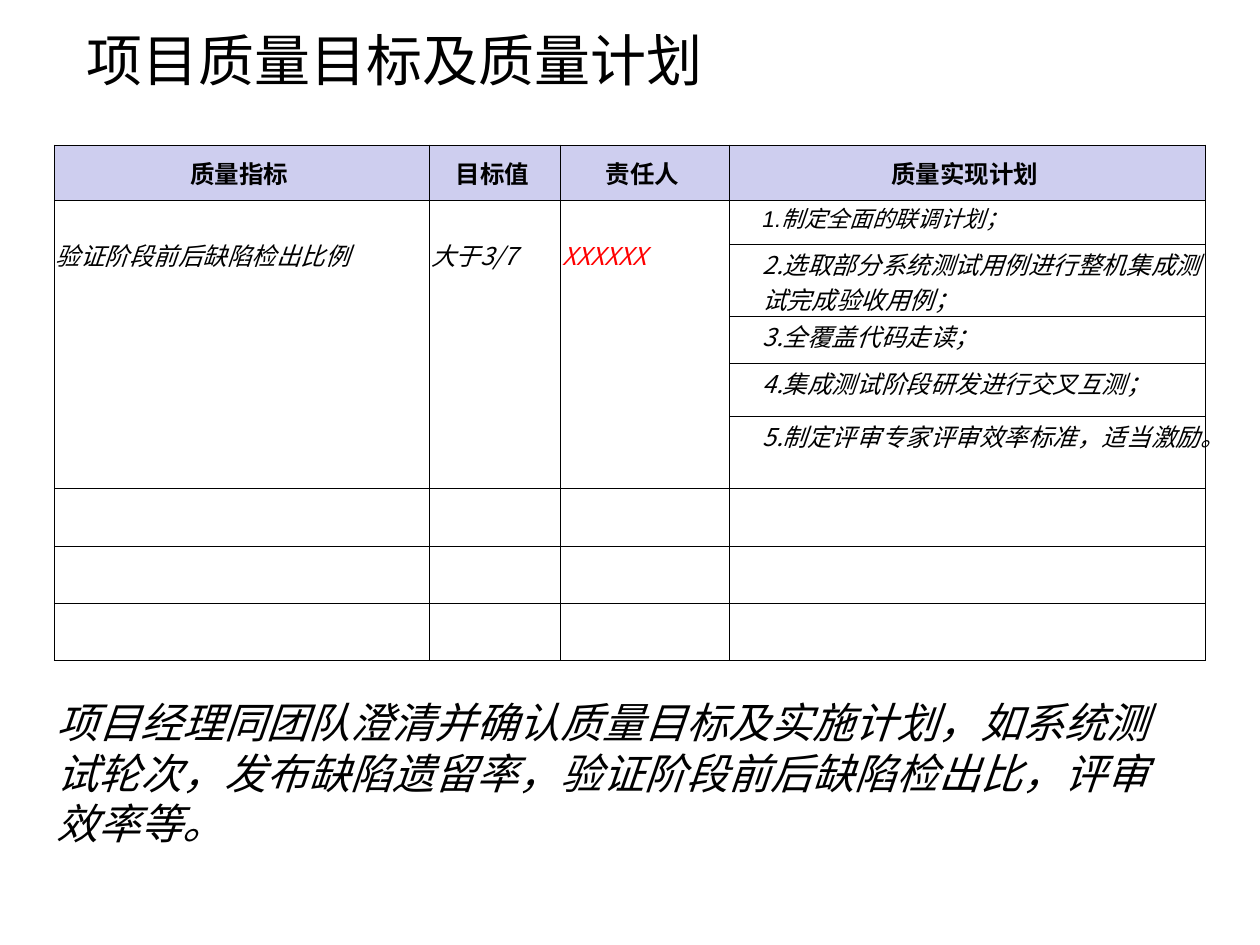
from lxml import etree
from pptx import Presentation
from pptx import util as u
from pptx.dml import color
from pptx.enum import text
from pptx.oxml import ns

CJK = "Noto Sans CJK SC"
COLUMNS = [214.6, 74.9, 96.5, 272]
ROWS = [31.7, 25.2, 41.4, 26.6, 30.2, 41.4, 32.8, 32.8, 32.8]
HEADERS = ["质量指标 ", "目标值 ", "责任人 ", "质量实现计划 "]
GOAL = [
    ("验证阶段前后缺陷检出比例", "000000"),
    ("大于3/7", "000000"),
    ("XXXXXX", "FF0000"),
]
PLANS = [
    "制定全面的联调计划；",
    "2.选取部分系统测试用例进行整机集成测试完成验收用例；",
    "3.全覆盖代码走读；",
    "4.集成测试阶段研发进行交叉互测；",
    "5.制定评审专家评审效率标准，适当激励。",
]
SUMMARY = (
    "项目经理同团队澄清并确认质量目标及实施计划，如系统测试轮次，"
    "发布缺陷遗留率，验证阶段前后缺陷检出比，评审效率等。"
)


def rgb(value):
    return color.RGBColor.from_string(value)


def style_font(font, size, name=CJK, colour="000000", bold=False, italic=False):
    font.size = u.Pt(size)
    font.name = name
    font.bold = bold
    font.italic = italic
    font.color.rgb = rgb(colour)


def add_text(slide, left, top, width, height, content, size, **style):
    shape = slide.shapes.add_textbox(u.Pt(left), u.Pt(top), u.Pt(width), u.Pt(height))
    shape.text_frame.word_wrap = True
    paragraph = shape.text_frame.paragraphs[0]
    paragraph.text = content
    style_font(paragraph.font, size, **style)
    return shape


def format_cell(cell, fill):
    properties = cell._tc.get_or_add_tcPr()
    for side in ("lnL", "lnR", "lnT", "lnB"):
        line = etree.SubElement(properties, ns.qn(f"a:{side}"), w=str(u.Pt(0.5)))
        solid = etree.SubElement(line, ns.qn("a:solidFill"))
        etree.SubElement(solid, ns.qn("a:srgbClr"), val="000000")
    cell.fill.solid()
    cell.fill.fore_color.rgb = rgb(fill)
    cell.margin_left = cell.margin_right = cell.margin_top = u.Pt(0.72)
    cell.margin_bottom = 0


def write_cell(cell, content, size=14, **style):
    paragraph = cell.text_frame.paragraphs[0]
    paragraph.text = content
    style_font(paragraph.font, size, **style)
    return paragraph


def fill_header(table):
    for column, header in enumerate(HEADERS):
        cell = table.cell(0, column)
        cell.vertical_anchor = text.MSO_ANCHOR.MIDDLE
        write_cell(cell, header, bold=True).alignment = text.PP_ALIGN.CENTER


def fill_goal(table):
    for column, (content, colour) in enumerate(GOAL):
        cell = table.cell(1, column)
        cell.merge(table.cell(len(PLANS), column))
        cell.margin_top = u.Pt(21)
        write_cell(cell, content, colour=colour, italic=True)


def fill_plans(table):
    for row, plan in enumerate(PLANS, 1):
        cell = table.cell(row, 3)
        cell.margin_left = u.Pt(18.72)
        if row > 1:
            write_cell(cell, plan, italic=True)
            continue
        paragraph = cell.text_frame.paragraphs[0]
        for content, name in (("1.", "Arial"), (plan, CJK)):
            run = paragraph.add_run()
            run.text = content
            style_font(run.font, 13, name=name, italic=True)


def add_quality_table(slide):
    frame = slide.shapes.add_table(
        len(ROWS), len(COLUMNS), u.Pt(31), u.Pt(82.8), u.Pt(sum(COLUMNS)), u.Pt(sum(ROWS))
    )
    table = frame.table
    for column, width in zip(table.columns, COLUMNS):
        column.width = u.Pt(width)
    for index, (row, height) in enumerate(zip(table.rows, ROWS)):
        row.height = u.Pt(height)
        for cell in row.cells:
            format_cell(cell, "FFFFFF" if index else "CECEEF")
    fill_header(table)
    fill_goal(table)
    fill_plans(table)


def main():
    presentation = Presentation()
    presentation.slide_width = u.Pt(720)
    presentation.slide_height = u.Pt(540)
    slide = presentation.slides.add_slide(presentation.slide_layouts[6])
    title = add_text(slide, 42.5, 15.1, 414, 37.4, "项目质量目标及质量计划", 32, name="Arial")
    title.text_frame.vertical_anchor = text.MSO_ANCHOR.MIDDLE
    add_quality_table(slide)
    summary = add_text(slide, 25.2, 394.6, 646.6, 94.3, SUMMARY, 24, italic=True)
    summary.text_frame.paragraphs[0].line_spacing = u.Pt(28.8)
    presentation.save("out.pptx")


if __name__ == "__main__":
    main()
